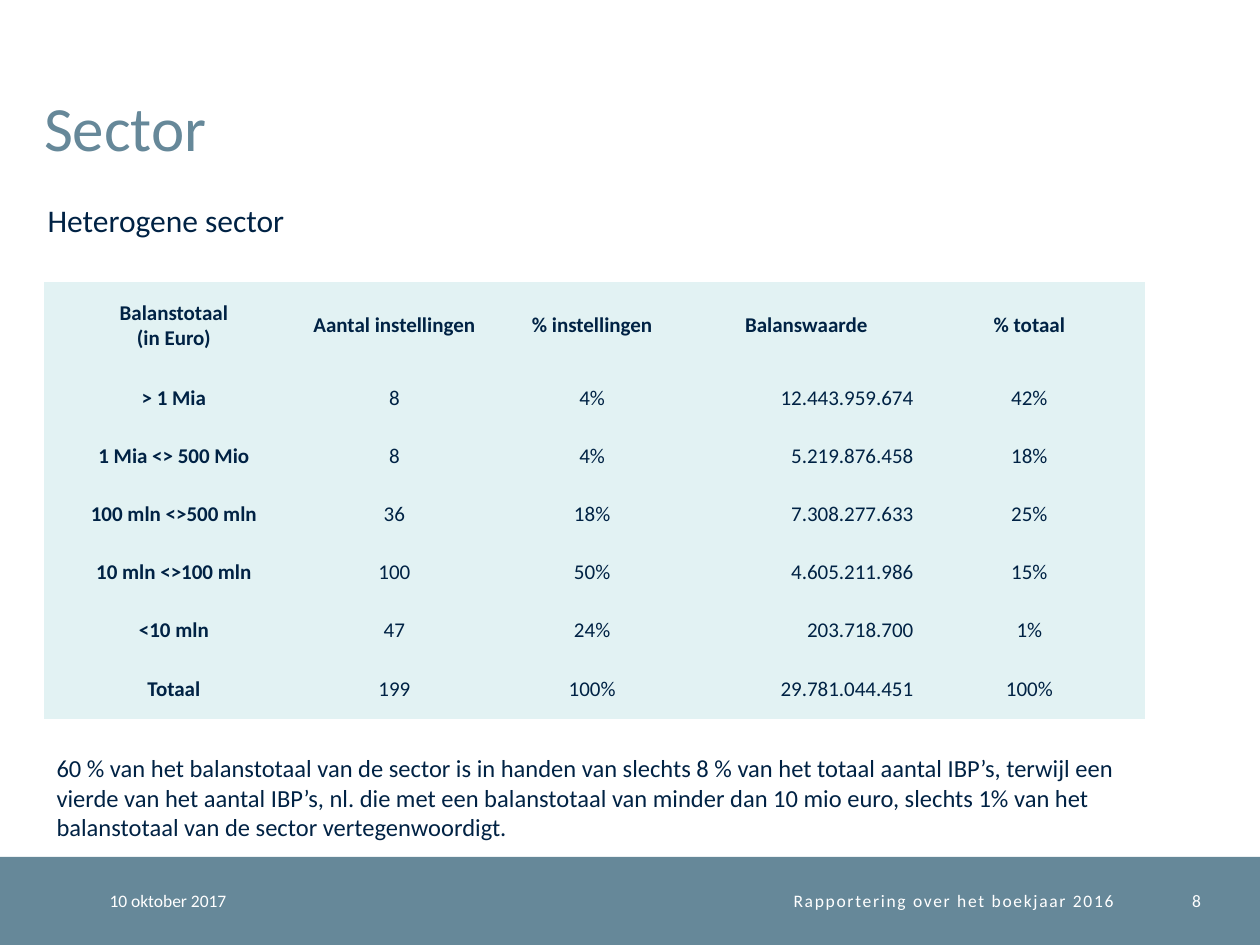
"""Build the slide on the sector's balance totals."""
from dataclasses import dataclass, field
from typing import Any

from pptx import Presentation
from pptx import util as u
from pptx.dml import color
from pptx.enum import shapes, text

COLS, ROWS = 100, 75
UNIT = u.Inches(0.1)
HUES = {"slate": "668899", "navy": "002244", "white": "FFFFFF", "mint": "E2F2F3"}
LEFT, MID, RIGHT = text.PP_ALIGN.LEFT, text.PP_ALIGN.CENTER, text.PP_ALIGN.RIGHT
TOP, CORE, BASE = text.MSO_ANCHOR.TOP, text.MSO_ANCHOR.MIDDLE, text.MSO_ANCHOR.BOTTOM
BAR = {"top": 68, "high": 7}
FLAT = dict.fromkeys(("margin_left", "margin_top", "margin_right", "margin_bottom"), 0)
WIDTHS = (20.6, 14.4, 17, 17, 18.4)
HEIGHTS = (6.9, *[4.6] * 5, 4.8)
ALIGNS = (MID, MID, MID, RIGHT, MID)
DATA = (
    ("Balanstotaal\n(in Euro)", "Aantal instellingen", "% instellingen", "Balanswaarde", "% totaal"),
    ("> 1 Mia", "8", "4%", "12.443.959.674", "42%"),
    ("1 Mia <> 500 Mio", "8", "4%", "5.219.876.458", "18%"),
    ("100 mln <>500 mln", "36", "18%", "7.308.277.633", "25%"),
    ("10 mln <>100 mln", "100", "50%", "4.605.211.986", "15%"),
    ("<10 mln", "47", "24%", "203.718.700", "1%"),
    ("Totaal", "199", "100%", "29.781.044.451", "100%"),
)
NOTE = (
    "60 % van het balanstotaal van de sector is in handen van slechts 8 % van het totaal "
    "aantal IBP’s, terwijl een vierde van het aantal IBP’s, nl. die met een balanstotaal "
    "van minder dan 10 mio euro, slechts 1% van het balanstotaal van de sector vertegenwoordigt."
)


@dataclass(frozen=True)
class Look:
    """Type style of a text."""
    size: float
    hue: str = "navy"
    bold: bool = False
    align: Any = LEFT
    track: int = 0
    line: Any = None


@dataclass(frozen=True)
class Label:
    """Text box placed on the slide grid."""
    words: str
    left: float
    top: float
    wide: float
    high: float
    look: Look
    frame: dict = field(default_factory=lambda: {**FLAT, "vertical_anchor": CORE})


def span(*cells: float) -> list[int]:
    """Turn grid counts into lengths."""
    return [round(UNIT * cell) for cell in cells]


def tint(hue: str) -> color.RGBColor:
    """Look up a named colour."""
    return color.RGBColor.from_string(HUES[hue])


def put(obj: Any, vals: dict) -> None:
    """Set each attribute in the dict."""
    for key, val in vals.items():
        setattr(obj, key, val)


def paint(obj: Any, hue: str) -> None:
    """Give an object a solid fill."""
    obj.fill.solid()
    obj.fill.fore_color.rgb = tint(hue)


def write(frame: Any, words: str, look: Look) -> None:
    """Fill a text frame in one style."""
    frame.text = words
    for para in frame.paragraphs:
        put(para, {"alignment": look.align, "line_spacing": look.line})
        for run in para.runs:
            put(run.font, {"name": "Calibri", "size": u.Pt(look.size), "bold": look.bold})
            run.font.color.rgb = tint(look.hue)
            if look.track:
                run.font._element.set("spc", str(look.track))


def draw_bar(slide: Any) -> None:
    """Draw the footer band."""
    bar = slide.shapes.add_shape(
        shapes.MSO_SHAPE.RECTANGLE, *span(0, BAR["top"], COLS, BAR["high"]))
    paint(bar, "slate")
    bar.line.fill.background()
    bar.shadow.inherit = False


def draw_label(slide: Any, label: Label) -> None:
    """Draw one text box."""
    box = slide.shapes.add_textbox(*span(label.left, label.top, label.wide, label.high))
    put(box.text_frame, {"word_wrap": True, **label.frame})
    write(box.text_frame, label.words, label.look)


def draw_table(slide: Any, left: float, top: float) -> None:
    """Draw the table of institutions by balance total."""
    area = span(left, top, sum(WIDTHS), sum(HEIGHTS))
    table = slide.shapes.add_table(len(DATA), len(WIDTHS), *area).table
    put(table, {"first_row": False, "horz_banding": False})
    table._tbl.tblPr[0].text = "{2D5ABB26-0587-4C30-8999-92F81FD0307C}"
    for col, wide in zip(table.columns, span(*WIDTHS)):
        col.width = wide
    for row, high in zip(table.rows, span(*HEIGHTS)):
        row.height = high
    for r, line in enumerate(DATA):
        for c, words in enumerate(line):
            cell = table.cell(r, c)
            put(cell, {**FLAT, "vertical_anchor": CORE})
            paint(cell, "mint")
            head = r == 0 or c == 0
            align = MID if head else ALIGNS[c]
            write(cell.text_frame, words, Look(12, bold=head, align=align))


def main() -> None:
    """Build and save the slide."""
    deck = Presentation()
    wide, high = span(COLS, ROWS)
    put(deck, {"slide_width": wide, "slide_height": high})
    slide = deck.slides.add_slide(deck.slide_layouts[6])
    draw_bar(slide)
    foot = Look(10, "white")
    side = Look(10, "white", align=RIGHT)
    wisp = Look(10, "white", align=RIGHT, track=100)
    body = {"vertical_anchor": TOP}
    labels = (
        Label("10 oktober 2017", 8.7, wide=17.7, look=foot, **BAR),
        Label("Sector", 3.5, 2.2, 86.3, 10.8, Look(36, "slate", line=u.Pt(32)),
              {**FLAT, "vertical_anchor": BASE}),
        Label("Rapportering over het boekjaar 2016", 26.4, wide=62, look=wisp, **BAR),
        Label("8", 90.4, wide=4.9, look=side, **BAR),
        Label("Heterogene sector", 2.8, 15.5, 32.3, 4, Look(18), body),
        Label(NOTE, 3.5, 59.3, 88.2, 8.1, Look(14), body),
    )
    for label in labels:
        draw_label(slide, label)
    draw_table(slide, 3.5, 22.4)
    deck.save("out.pptx")


if __name__ == "__main__":
    main()
